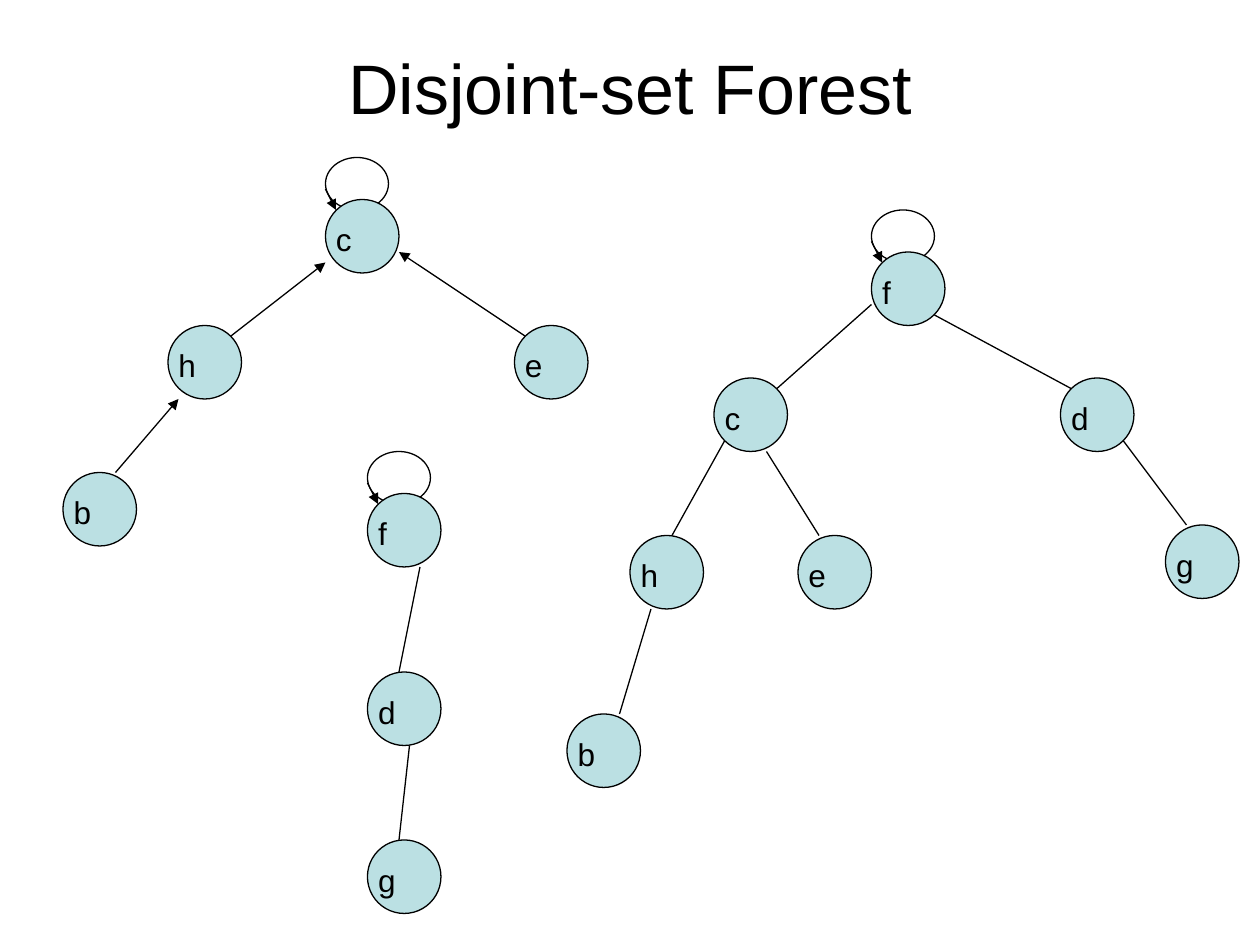
"""Build the disjoint-set forest slide."""
from lxml import etree
from pptx import Presentation
from pptx.dml.color import RGBColor
from pptx.enum.shapes import MSO_CONNECTOR, MSO_SHAPE
from pptx.enum.text import MSO_ANCHOR, MSO_AUTO_SIZE, PP_ALIGN
from pptx.oxml.ns import qn
from pptx.util import Pt

OVAL = MSO_SHAPE.OVAL
STRAIGHT = MSO_CONNECTOR.STRAIGHT
MIDDLE = MSO_ANCHOR.MIDDLE
GROW = MSO_AUTO_SIZE.SHAPE_TO_FIT_TEXT
CENTER = PP_ALIGN.CENTER
LEFT = PP_ALIGN.LEFT

NODE_SIZE = 42
LABEL_FRAME = {"margin_left": 0, "margin_top": 0, "margin_right": 0,
               "margin_bottom": 0, "word_wrap": True, "auto_size": GROW}
TITLE_FRAME = {"vertical_anchor": MIDDLE, "word_wrap": True}

TREES = [
    {"nodes": [("f", 498, 144), ("c", 408, 216), ("d", 606, 216), ("h", 360, 306),
               ("e", 456, 306), ("g", 666, 300), ("b", 324, 408)],
     "edges": [(498, 174, 444, 222), (414, 252, 384, 306), (372, 348, 354, 408),
               (534, 180, 612, 222), (438, 258, 468, 306), (678, 300, 642, 252)],
     "arrow": False},
    {"nodes": [("c", 186, 114), ("h", 96, 186), ("e", 294, 186), ("b", 36, 270)],
     "edges": [(66, 270, 102, 228), (132, 192, 186, 150), (300, 192, 228, 144)],
     "arrow": True},
    {"nodes": [("f", 210, 282), ("d", 210, 384), ("g", 210, 480)],
     "edges": [(240, 324, 228, 384), (228, 480, 234, 426)],
     "arrow": False},
]


def rgb(value):
    """Turn a hex string into a colour."""
    return RGBColor.from_string(value)


def apply(target, values):
    """Set each attribute in values on target."""
    for name, value in values.items():
        setattr(target, name, value)


class ForestSlide:
    """Hold the style and the current slide."""

    font, ink, node_fill, line_width = "Arial", "000000", "BBE0E3", 0.75

    def __init__(self, prs):
        """Add a title-only slide."""
        self.s = prs.slides.add_slide(prs.slide_layouts[5])

    def put_text(self, tf, text, size, align, frame):
        """Put one formatted line into a text frame."""
        apply(tf, frame)
        p = tf.paragraphs[0]
        p.alignment = align
        r = p.add_run()
        r.text = text
        apply(r.font, {"name": self.font, "size": Pt(size)})
        r.font.color.rgb = rgb(self.ink)

    def stroke(self, line):
        """Give a line the common colour and width."""
        line.color.rgb = rgb(self.ink)
        line.width = Pt(self.line_width)

    def title(self, text, x, y, w, h):
        """Place and fill the title."""
        sp = self.s.shapes.title
        apply(sp, {"left": Pt(x), "top": Pt(y), "width": Pt(w), "height": Pt(h)})
        self.put_text(sp.text_frame, text, 40, CENTER, TITLE_FRAME)

    def oval(self, shapes, x, y, w, h, fill=None):
        """Draw an outlined ellipse."""
        sp = shapes.add_shape(OVAL, Pt(x), Pt(y), Pt(w), Pt(h))
        sp.shadow.inherit = False
        if fill:
            sp.fill.solid()
            sp.fill.fore_color.rgb = rgb(fill)
        else:
            sp.fill.background()
        self.stroke(sp.line)

    def node(self, label, x, y):
        """Draw a circle grouped with its label."""
        shapes = self.s.shapes.add_group_shape().shapes
        self.oval(shapes, x, y, NODE_SIZE, NODE_SIZE, self.node_fill)
        box = shapes.add_textbox(Pt(x + 6), Pt(y + 12), Pt(24), Pt(21.6))
        self.put_text(box.text_frame, label, 18, LEFT, LABEL_FRAME)

    def edge(self, x1, y1, x2, y2, arrow=False):
        """Draw a straight line, with an arrowhead at its end if asked."""
        c = self.s.shapes.add_connector(STRAIGHT, Pt(x1), Pt(y1), Pt(x2), Pt(y2))
        self.stroke(c.line)
        sp_pr = c.element.spPr
        if arrow:
            etree.SubElement(sp_pr.find(qn("a:ln")), qn("a:tailEnd"), type="triangle")
        etree.SubElement(sp_pr, qn("a:effectLst"))

    def tree(self, nodes, edges, arrow):
        """Draw a tree whose first node is a root that points to itself."""
        _, x, y = nodes[0]
        self.oval(self.s.shapes, x, y - 24, 36, 30)
        for node in nodes:
            self.node(*node)
        for ends in edges:
            self.edge(*ends, arrow=arrow)
        self.edge(x, y - 6, x + 6, y + 6, arrow=True)


def main():
    """Build and save the slide."""
    prs = Presentation()
    prs.slide_width, prs.slide_height = Pt(720), Pt(540)
    slide = ForestSlide(prs)
    slide.title("Disjoint-set Forest", 36, 21.6, 648, 56.2)
    for tree in TREES:
        slide.tree(**tree)
    prs.save("out.pptx")


if __name__ == "__main__":
    main()
